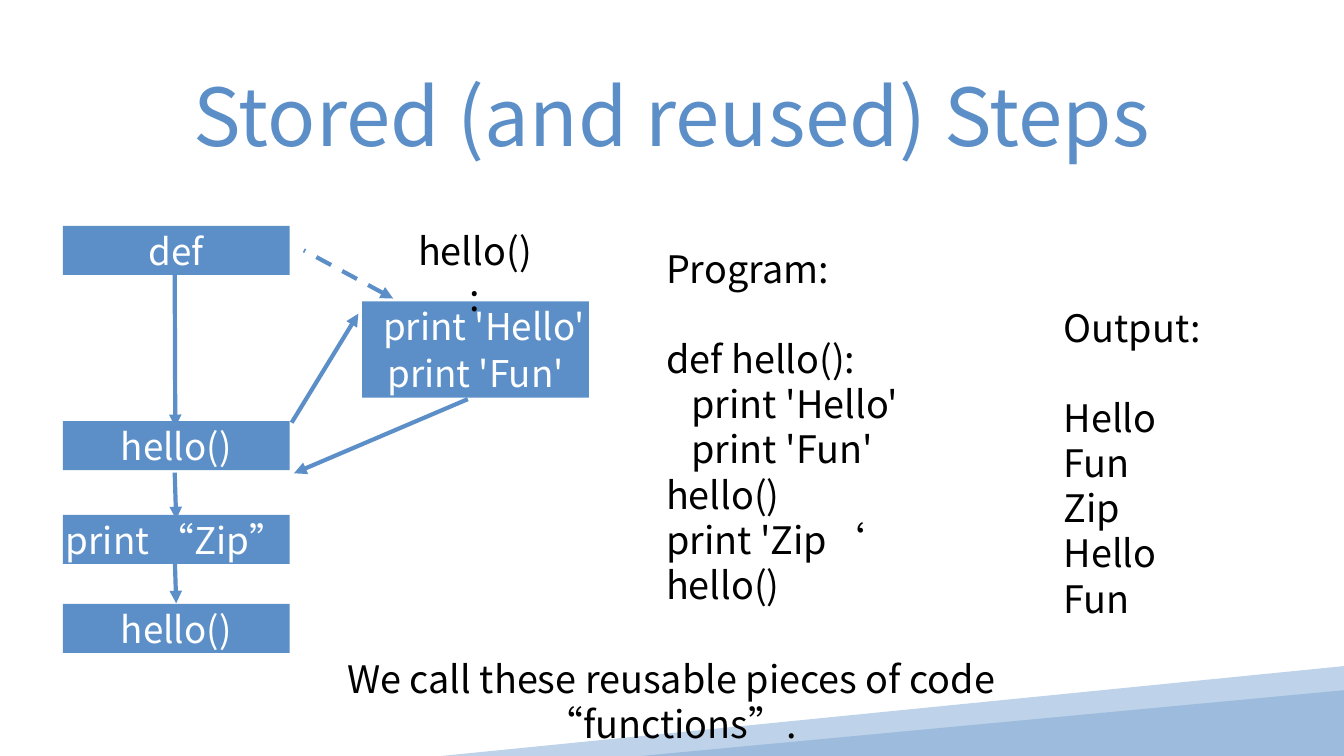
import pptx
import pptx.dml.color
import pptx.enum.dml
import pptx.enum.shapes
import pptx.enum.text
import pptx.oxml
import pptx.oxml.ns
import pptx.util

Cm = pptx.util.Cm
ALIGN = pptx.enum.text.PP_ALIGN
SHAPES = pptx.enum.shapes.MSO_SHAPE

COLOURS = {
    "blue": "5C8FC7",
    "pale": "BED2E9",
    "soft": "9DBCDD",
    "white": "FFFFFF",
    "black": "000000",
}


class StepsSlide:
    """Holds the style and the current slide."""

    font_name = "Noto Sans CJK SC"
    line_pitch = pptx.util.Pt(43)

    def __init__(self, presentation):
        self.slide = presentation.slides.add_slide(presentation.slide_layouts[6])

    def colour(self, name):
        return pptx.dml.color.RGBColor.from_string(COLOURS[name])

    def element(self, tag, **attributes):
        element = pptx.oxml.parse_xml(f"<{tag} {pptx.oxml.ns.nsdecls('a')}/>")
        for name, value in attributes.items():
            element.set(name, value)
        return element

    def paint(self, shape, fill):
        shape.shadow.inherit = False
        shape.fill.solid()
        shape.fill.fore_color.rgb = self.colour(fill)
        shape.line.fill.background()

    def fill_text(self, shape, lines, size, colour, align, inset=0, grow=False,
                  pitch=None, gap_after_first=False):
        frame = shape.text_frame
        auto_size = pptx.enum.text.MSO_AUTO_SIZE
        frame_format = {
            "word_wrap": True,
            "auto_size": auto_size.SHAPE_TO_FIT_TEXT if grow else auto_size.NONE,
            "vertical_anchor": pptx.enum.text.MSO_ANCHOR.MIDDLE,
        }
        for side in ("left", "top", "right", "bottom"):
            frame_format[f"margin_{side}"] = Cm(inset)
        for name, value in frame_format.items():
            setattr(frame, name, value)
        for index, line in enumerate(lines):
            paragraph = frame.paragraphs[0] if index == 0 else frame.add_paragraph()
            paragraph.alignment = align
            if pitch:
                paragraph.line_spacing = pitch
            if gap_after_first and index == 1:
                paragraph.space_before = pitch
            run = paragraph.add_run()
            run.text = line
            font_format = {"name": self.font_name, "size": pptx.util.Pt(size)}
            for name, value in font_format.items():
                setattr(run.font, name, value)
            run.font.color.rgb = self.colour(colour)
            latin = run.font._element.find(pptx.oxml.ns.qn("a:latin"))
            latin.addnext(self.element("a:ea", typeface=self.font_name))

    def band(self, points, fill):
        points = [(Cm(x), Cm(y)) for x, y in points]
        builder = self.slide.shapes.build_freeform(*points[0])
        builder.add_line_segments(points[1:], close=True)
        self.paint(builder.convert_to_shape(), fill)

    def wedge(self, place, fill):
        shape = self.slide.shapes.add_shape(
            SHAPES.ISOSCELES_TRIANGLE, *map(Cm, place))
        shape.adjustments[0] = 1
        self.paint(shape, fill)

    def text(self, place, lines, size=36, colour="black", align=ALIGN.LEFT, **layout):
        shape = self.slide.shapes.add_textbox(*map(Cm, place))
        self.fill_text(shape, lines, size, colour, align, **layout)

    def step(self, left, top, label):
        shape = self.slide.shapes.add_shape(
            SHAPES.RECTANGLE, Cm(left), Cm(top), Cm(7.62), Cm(1.65))
        self.paint(shape, "blue")
        self.fill_text(shape, [label], 35, "white", ALIGN.CENTER)

    def arrow(self, tip, origin, dashed=False):
        connector = self.slide.shapes.add_connector(
            pptx.enum.shapes.MSO_CONNECTOR.STRAIGHT, *map(Cm, tip + origin))
        connector.line.width = pptx.util.Pt(4)
        connector.line.color.rgb = self.colour("blue")
        if dashed:
            connector.line.dash_style = pptx.enum.dml.MSO_LINE.DASH
        connector.line._get_or_add_ln().append(
            self.element("a:headEnd", type="triangle"))
        connector._element.spPr.append(self.element("a:effectLst"))


def main():
    presentation = pptx.Presentation()
    presentation.slide_width = Cm(45.16)
    presentation.slide_height = Cm(25.4)
    page = StepsSlide(presentation)

    # Background bands
    page.band([(45.16, 22.38), (45.16, 25.2), (30.38, 25.4), (14.83, 25.4)], "pale")
    page.wedge((21.54, 23.19, 23.62, 2.21), "soft")

    # Title
    page.text((3.2, 0.66, 38.71, 6.38), ["Stored (and reused) Steps"], size=76,
              colour="blue", align=ALIGN.CENTER, inset=0.1)

    # Output and program listings
    listing = {"pitch": page.line_pitch, "gap_after_first": True}
    page.text((35.74, 10.34, 6.45, 10.41),
              ["Output:", "Hello", "Fun", "Zip", "Hello", "Fun"], **listing)
    page.text((22.38, 8.23, 8.18, 12.19),
              ["Program:", "def hello():", "   print 'Hello'", "   print 'Fun'",
               "hello()", "print 'Zip‘", "hello()"], grow=True, **listing)

    # Arrows down the main flow, each from one step to the next
    page.arrow((5.89, 14.35), (5.87, 9.19))
    page.arrow((5.92, 17.45), (5.87, 15.88))
    page.arrow((5.92, 20.27), (5.87, 18.69))

    # Main flow and function body
    main_left, body_left = 2.11, 12.17
    for left, top, label in [
        (main_left, 7.59, "def"),
        (body_left, 10.13, "  print 'Hello'"),
        (body_left, 11.71, "print 'Fun'"),
        (main_left, 14.15, "hello()"),
        (main_left, 17.3, "print “Zip”"),
        (main_left, 20.29, "hello()"),
    ]:
        page.step(left, top, label)

    # Call, return and definition arrows
    page.arrow((12.04, 10.54), (9.8, 14.2))
    page.arrow((9.88, 15.9), (15.72, 13.41))
    page.arrow((13.21, 10.03), (10.21, 8.41), dashed=True)

    # Caption and function label
    centred = {"align": ALIGN.CENTER, "grow": True, "pitch": page.line_pitch}
    page.text((7.9, 22.78, 29.31, 1.52),
              ["We call these reusable pieces of code “functions”."], **centred)
    page.text((13.94, 8.43, 4.04, 1.52), ["hello():"], **centred)

    presentation.save("out.pptx")


if __name__ == "__main__":
    main()
